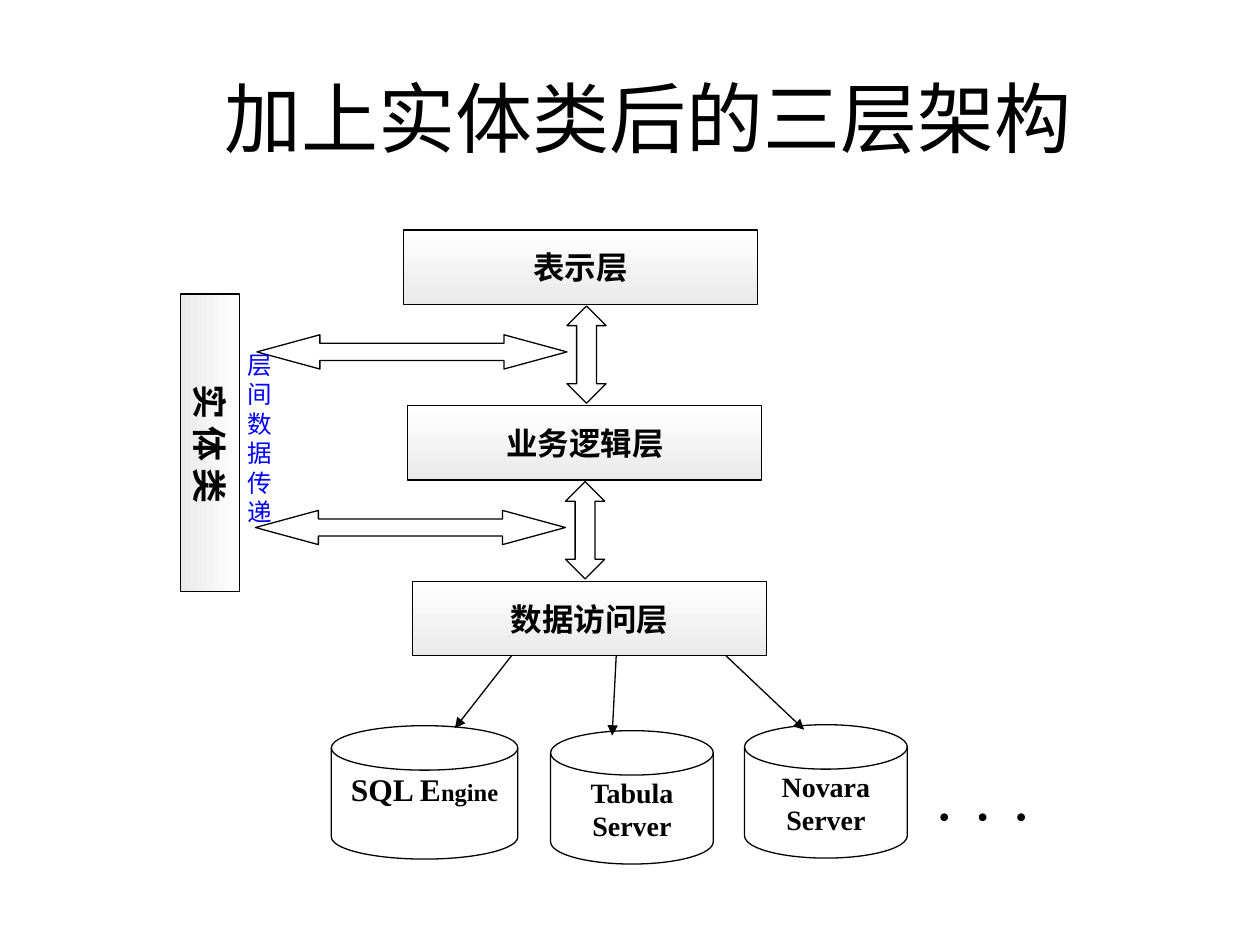
from collections import namedtuple
from dataclasses import dataclass

from lxml import etree
from pptx import Presentation
from pptx.dml.color import RGBColor
from pptx.enum.shapes import MSO_CONNECTOR, MSO_SHAPE
from pptx.enum.text import MSO_ANCHOR, PP_ALIGN
from pptx.oxml.ns import qn
from pptx.util import Cm, Pt

Box = namedtuple("Box", "left top width height")


@dataclass(frozen=True)
class Theme:
    ink: RGBColor = RGBColor(0, 0, 0)
    paper: RGBColor = RGBColor(255, 255, 255)
    shade: RGBColor = RGBColor(0xEA, 0xEA, 0xEA)
    accent: RGBColor = RGBColor(0, 0, 255)
    title_font: str = "Calibri"
    cjk_font: str = "Noto Sans CJK SC"
    server_font: str = "Times New Roman"
    title_size: int = 44
    entity_size: int = 20
    layer_size: int = 18
    server_size: int = 16
    note_size: int = 14
    line_width: float = 0.75


THEME = Theme()


def in_cm(box):
    return [Cm(length) for length in box]


def style_run(run, size, font_name, color=THEME.ink, bold=False):
    font = run.font
    font.name, font.size, font.bold = font_name, Pt(size), bold
    font.color.rgb = color
    east_asian = etree.SubElement(font._element, qn("a:ea"))
    east_asian.set("typeface", THEME.cjk_font)


def set_margins(frame, horizontal, vertical):
    frame.margin_left = frame.margin_right = Cm(horizontal)
    frame.margin_top = frame.margin_bottom = Cm(vertical)


def write(frame, text, size, font_name, align=PP_ALIGN.CENTER, **look):
    frame.word_wrap = True
    frame.text = text
    for paragraph in frame.paragraphs:
        paragraph.alignment = align
        for run in paragraph.runs:
            style_run(run, size, font_name, **look)


def add_outlined(slide, kind, box, fill=THEME.paper):
    shape = slide.shapes.add_shape(kind, *in_cm(box))
    shape.shadow.inherit = False
    shape.fill.solid()
    shape.fill.fore_color.rgb = fill
    shape.line.color.rgb = THEME.ink
    shape.line.width = Pt(THEME.line_width)
    return shape


def add_panel(slide, box, text, size):
    """Rectangle shaded from white at its top to grey at its bottom."""
    panel = add_outlined(slide, MSO_SHAPE.RECTANGLE, box)
    panel.fill.gradient()
    panel.fill.gradient_angle = 270
    for stop, color, position in zip(
        panel.fill.gradient_stops, (THEME.paper, THEME.shade), (0, 1)
    ):
        stop.color.rgb, stop.position = color, position
    frame = panel.text_frame
    frame.vertical_anchor = MSO_ANCHOR.MIDDLE
    set_margins(frame, 0.25, 0.03)
    write(frame, text, size, THEME.cjk_font, bold=True)
    return panel


def add_title(slide, box):
    frame = slide.shapes.add_textbox(*in_cm(box)).text_frame
    frame.vertical_anchor = MSO_ANCHOR.MIDDLE
    write(frame, "加上实体类后的三层架构", THEME.title_size, THEME.title_font)


def add_entity(slide, box):
    """Tall panel turned by 90 degrees; its columns run right to left."""
    turned = Box(
        box.left + (box.width - box.height) / 2,
        box.top + (box.height - box.width) / 2,
        box.height,
        box.width,
    )
    entity = add_panel(slide, turned, "类体实", THEME.entity_size)
    entity.rotation = 90
    set_margins(entity.text_frame, 0.03, 0.25)
    entity.text_frame._txBody.bodyPr.set("vert", "eaVert")


def add_double_arrow(slide, kind, box, head):
    arrow = add_outlined(slide, kind, box)
    arrow.adjustments[0], arrow.adjustments[1] = 0.5, head


def add_exchange(slide, box):
    """Arrow between two layers, met by one from the entity class."""
    width, height = 0.79, 1.96
    left = box.left + box.width - width
    add_double_arrow(slide, MSO_SHAPE.UP_DOWN_ARROW,
                     Box(left, box.top, width, height), 0.505)
    add_double_arrow(slide, MSO_SHAPE.LEFT_RIGHT_ARROW,
                     Box(box.left, box.top + 0.58, 6.25, 0.69), 1.84)


def add_servers(slide, box):
    servers = [
        (0, 0.02, 3.76, "SQL Engine"),
        (4.42, 0.12, 3.28, "Tabula Server"),
        (8.33, 0, 3.28, "Novara\nServer"),
    ]
    for dx, dy, width, name in servers:
        disk = add_outlined(slide, MSO_SHAPE.FLOWCHART_MAGNETIC_DISK,
                            Box(box.left + dx, box.top + dy, width, 2.69))
        frame = disk.text_frame
        frame.vertical_anchor = MSO_ANCHOR.TOP
        set_margins(frame, 0, 0)
        write(frame, name, THEME.server_size, THEME.server_font, bold=True)
        if name.startswith("SQL"):
            paragraph = frame.paragraphs[0]
            start = paragraph.runs[0]
            start.text, start.font.size = name[:5], Pt(THEME.layer_size)
            rest = paragraph.add_run()
            rest.text = name[5:]
            style_run(rest, THEME.note_size, THEME.server_font, bold=True)

    diameter, step = 0.13, 0.775
    for index in range(3):
        left = box.left + box.width - diameter - (2 - index) * step
        add_outlined(slide, MSO_SHAPE.OVAL,
                     Box(left, box.top + 1.8, diameter, diameter), THEME.ink)


def add_queries(slide, box):
    """Arrows from the data access layer down to the servers."""
    for x1, y1, x2, y2 in [
        (1.57, 0, 0, 2.01),
        (3.28, 0, 3.17, 2.16),
        (5.18, 0.28, 7.04, 2.04),
    ]:
        query = slide.shapes.add_connector(
            MSO_CONNECTOR.STRAIGHT,
            Cm(box.left + x1), Cm(box.top + y1),
            Cm(box.left + x2), Cm(box.top + y2),
        )
        query.line.color.rgb = THEME.ink
        query.line.width = Pt(THEME.line_width)
        outline = query.line._get_or_add_ln()
        etree.SubElement(outline, qn("a:tailEnd")).set("type", "triangle")
        etree.SubElement(query._element.spPr, qn("a:effectLst"))


def add_layers(slide, box):
    names = ["表示层", "业务逻辑层", "数据访问层"]
    for index, name in enumerate(names):
        layer = Box(box.left + 0.09 * index, box.top + 3.54 * index,
                    box.width, 1.5)
        add_panel(slide, layer, name, THEME.layer_size)


def add_transfer_note(slide, box):
    frame = slide.shapes.add_textbox(*in_cm(box)).text_frame
    write(frame, "层间数据传递", THEME.note_size, THEME.cjk_font,
          align=PP_ALIGN.LEFT, color=THEME.accent)


def main():
    deck = Presentation()
    deck.slide_width, deck.slide_height = Cm(25.4), Cm(19.05)
    slide = deck.slides.add_slide(deck.slide_layouts[6])
    add_title(slide, Box(1.27, 0.76, 23.62, 3.18))
    add_entity(slide, Box(3.64, 5.93, 1.19, 5.99))
    add_exchange(slide, Box(5.18, 6.17, 7.04, 1.96))
    add_exchange(slide, Box(5.15, 9.71, 7.04, 1.96))
    add_servers(slide, Box(6.68, 14.61, 13.97, 2.81))
    add_queries(slide, Box(9.17, 12.67, 7.04, 2.16))
    add_layers(slide, Box(8.13, 4.64, 7.14, 8.58))
    add_transfer_note(slide, Box(4.75, 6.93, 0.97, 3.81))
    deck.save("out.pptx")


if __name__ == "__main__":
    main()
